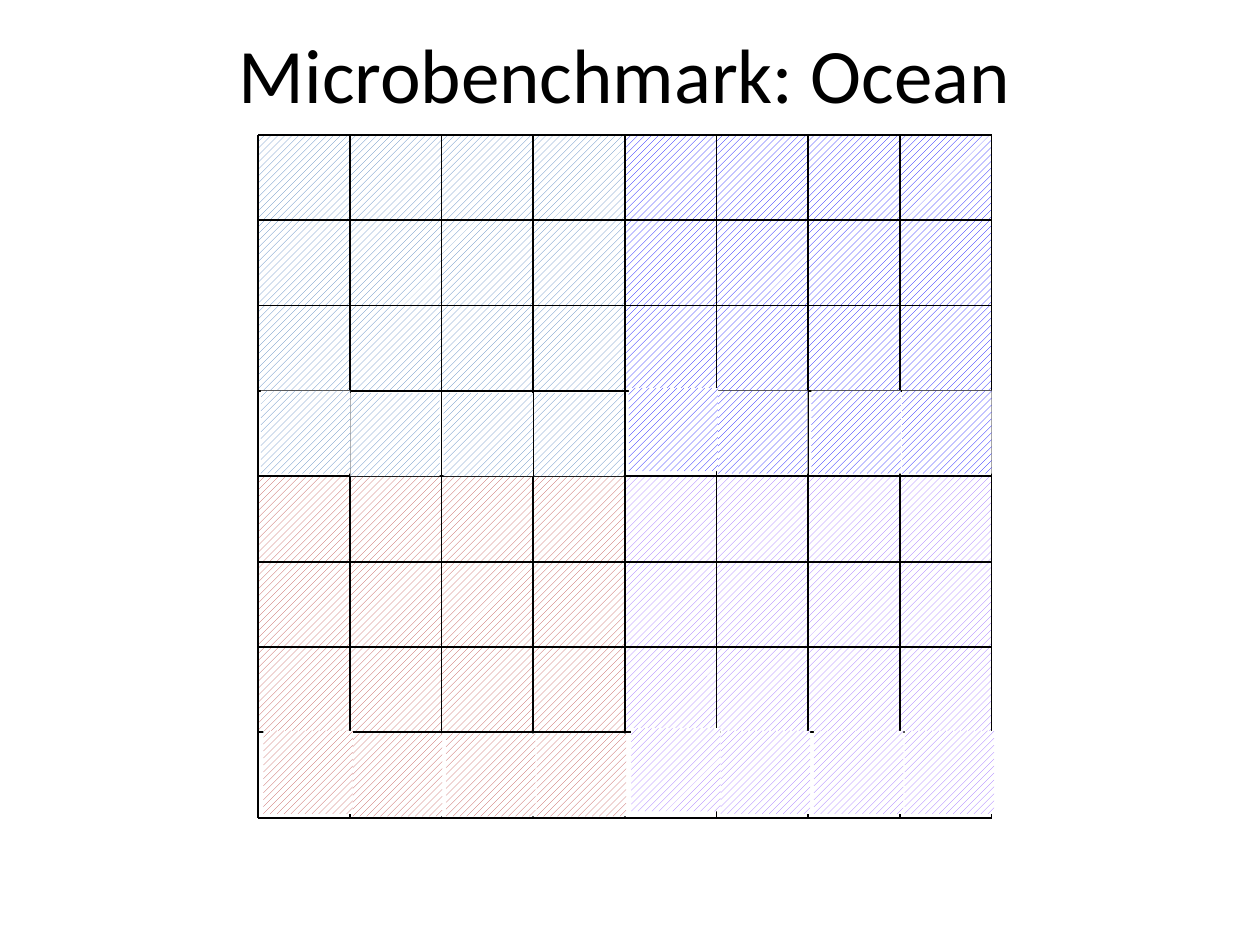
import pptx
import pptx.dml.color
import pptx.enum.dml
import pptx.enum.shapes
import pptx.enum.text
import pptx.oxml.ns
import pptx.util
from lxml import etree

COLOURS = {
    "ink": "000000",
    "paper": "FFFFFF",
    "north_west": "4F81BD",
    "north_east": "0000FF",
    "south_west": "C0504D",
    "south_east": "9966FF",
}
QUADRANTS = (("north_west", "north_east"), ("south_west", "south_east"))
SIZE = 8
HALF = SIZE // 2
LEFT, TOP, WIDTH, HEIGHT = 2.05, 1.07, 5.82, 5.42
COLUMN, ROW = WIDTH / SIZE, HEIGHT / SIZE
HALO_CELL = (0.71, 0.66)
HALO_ORIGINS = ((2.07, 3.1), (2.78, 3.12), (3.52, 3.12), (4.24, 3.12))
HALO_STEP_RIGHT = (2.92, -0.02)
HALO_STEP_DOWN = (0.02, 2.7)


def colour(name):
    return pptx.dml.color.RGBColor.from_string(COLOURS[name])


def apply(target, values):
    for name, value in values.items():
        setattr(target, name, value)


class OceanSlide:
    title_font = {"name": "Calibri", "size": pptx.util.Pt(44), "bold": False}
    title_frame = {
        "word_wrap": True,
        "vertical_anchor": pptx.enum.text.MSO_ANCHOR.MIDDLE,
    }

    def __init__(self, deck):
        self.slide = deck.slides.add_slide(deck.slide_layouts[5])

    def title(self, wording, left, top, width, height):
        heading = self.slide.shapes.title
        box = {"left": left, "top": top, "width": width, "height": height}
        apply(heading, {side: pptx.util.Inches(v) for side, v in box.items()})
        heading.text_frame.text = wording
        apply(heading.text_frame, self.title_frame)
        line = heading.text_frame.paragraphs[0]
        line.alignment = pptx.enum.text.PP_ALIGN.CENTER
        apply(line.runs[0].font, self.title_font)
        line.runs[0].font.color.rgb = colour("ink")

    def group(self):
        return self.slide.shapes.add_group_shape().shapes

    def cell(self, group, left, top, width, height, quadrant):
        patch = group.add_shape(
            pptx.enum.shapes.MSO_SHAPE.RECTANGLE,
            *map(pptx.util.Inches, (left, top, width, height)),
        )
        patch.shadow.inherit = False
        patch.line.fill.background()
        patch.fill.patterned()
        patch.fill.pattern = pptx.enum.dml.MSO_PATTERN.WIDE_UPWARD_DIAGONAL
        patch.fill.fore_color.rgb = colour(quadrant)
        patch.fill.back_color.rgb = colour("paper")

    def rule(self, group, *ends):
        grid_line = group.add_connector(
            pptx.enum.shapes.MSO_CONNECTOR.STRAIGHT,
            *map(pptx.util.Inches, ends),
        )
        grid_line.line.width = pptx.util.Pt(1)
        grid_line.line.color.rgb = colour("ink")
        etree.SubElement(
            grid_line._element.spPr, pptx.oxml.ns.qn("a:effectLst")
        )

    def grid(self):
        ocean = self.group()
        for row in reversed(range(SIZE)):
            if row % HALF == HALF - 1:
                continue
            for column in reversed(range(SIZE)):
                self.cell(
                    ocean, LEFT + column * COLUMN, TOP + row * ROW,
                    COLUMN, ROW, QUADRANTS[row // HALF][column // HALF],
                )
        for step in range(SIZE + 1):
            y = TOP + step * ROW
            self.rule(ocean, LEFT, y, LEFT + WIDTH, y)
        for step in range(SIZE + 1):
            x = LEFT + step * COLUMN
            self.rule(ocean, x, TOP, x, TOP + HEIGHT)

    def halo(self, left, top):
        border = self.group()
        for down, pair in enumerate(QUADRANTS):
            for right, quadrant in enumerate(pair):
                x = left + right * HALO_STEP_RIGHT[0] + down * HALO_STEP_DOWN[0]
                y = top + right * HALO_STEP_RIGHT[1] + down * HALO_STEP_DOWN[1]
                self.cell(border, x, y, *HALO_CELL, quadrant)


def main():
    deck = pptx.Presentation()
    deck.slide_width = pptx.util.Inches(10)
    deck.slide_height = pptx.util.Inches(7.5)
    ocean = OceanSlide(deck)
    ocean.title("Microbenchmark: Ocean", 0.25, 0.08, 9.42, 1)
    ocean.grid()
    for origin in HALO_ORIGINS:
        ocean.halo(*origin)
    deck.save("out.pptx")


if __name__ == "__main__":
    main()
